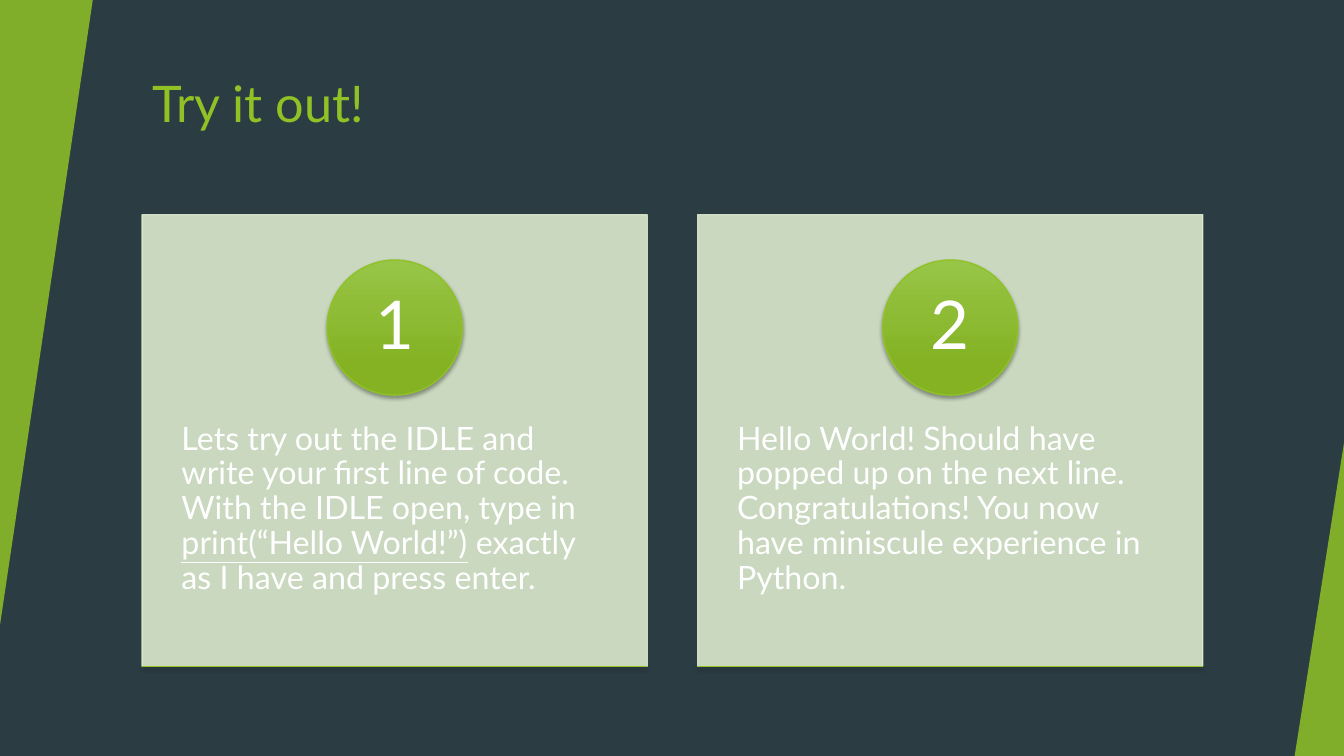
from dataclasses import dataclass

from lxml import etree
from pptx import Presentation
from pptx.dml.color import RGBColor
from pptx.enum.shapes import MSO_CONNECTOR, MSO_SHAPE
from pptx.enum.text import MSO_ANCHOR, MSO_AUTO_SIZE, PP_ALIGN
from pptx.oxml.ns import qn
from pptx.util import Inches, Pt

RECTANGLE, OVAL, TRIANGLE = MSO_SHAPE.RECTANGLE, MSO_SHAPE.OVAL, MSO_SHAPE.ISOSCELES_TRIANGLE
STRAIGHT = MSO_CONNECTOR.STRAIGHT
TOP, MIDDLE = MSO_ANCHOR.TOP, MSO_ANCHOR.MIDDLE
LEFT, CENTER = PP_ALIGN.LEFT, PP_ALIGN.CENTER
FIXED = MSO_AUTO_SIZE.NONE

# Content: each step is a list of (text, underlined) spans
TITLE = "Try it out!"
STEPS = [
    [
        ("Lets try out the IDLE and write your first line of code. With the IDLE open, type in ", False),
        ("print(“Hello World!”)", True),
        (" exactly as I have and press enter.", False),
    ],
    [
        ("Hello World! Should have popped up on the next line. Congratulations! "
         "You now have miniscule experience in Python.", False),
    ],
]


@dataclass(frozen=True)
class Theme:
    font: str = "Lato"
    background: str = "2C3C43"
    accent: str = "90C226"
    card: str = "DBE9CD"
    badge_top: str = "97C547"
    badge_bottom: str = "84B223"
    text: str = "FFFFFF"
    title_size: int = 36
    body_size: int = 23
    badge_size: int = 48


THEME = Theme()

# Layout in inches
PAGE_W, PAGE_H = 13.33, 7.5
CARD_LEFT, CARD_TOP, CARD_W, CARD_H = 1.41, 2.13, 5.01, 4.48
CARD_GAP = 0.5
BADGE_TOP, BADGE = 2.58, 1.34
BODY_TOP, BODY_H = 3.83, 2.69


def rgb(color):
    return RGBColor.from_string(color)


def set_alpha(fill_parent, percent):
    color = fill_parent.find(qn("a:solidFill")).find(qn("a:srgbClr"))
    etree.SubElement(color, qn("a:alpha"), val=str(percent * 1000))


def style_span(span, size, color):
    span.font.name = THEME.font
    span.font.size = Pt(size)
    span.font.color.rgb = rgb(color)


def add_shape(page, kind, left, top, width, height):
    shape = page.shapes.add_shape(kind, Inches(left), Inches(top), Inches(width), Inches(height))
    shape.shadow.inherit = False
    return shape


def add_soft_shadow(shape):
    properties = shape._element.spPr
    effects = properties.find(qn("a:effectLst"))
    if effects is None:
        effects = etree.SubElement(properties, qn("a:effectLst"))
    shadow = etree.SubElement(effects, qn("a:outerShdw"), blurRad=str(Pt(3)), dist=str(Pt(2)),
                              dir="5400000", rotWithShape="0")
    color = etree.SubElement(shadow, qn("a:srgbClr"), val="000000")
    etree.SubElement(color, qn("a:alpha"), val="35000")


def add_edge_triangle(page, left, top, width, height, rotation):
    triangle = add_shape(page, TRIANGLE, left, top, width, height)
    triangle.adjustments[0] = 1
    triangle.rotation = rotation
    triangle.fill.solid()
    triangle.fill.fore_color.rgb = rgb(THEME.accent)
    set_alpha(triangle._element.spPr, 85)
    triangle.line.fill.background()


def add_title(page):
    title = page.shapes.title
    title.left, title.top = Inches(CARD_LEFT), Inches(0.67)
    title.width, title.height = Inches(11.15), Inches(1.2)
    frame = title.text_frame
    frame.text = TITLE
    frame.vertical_anchor = TOP
    frame.auto_size = FIXED
    para = frame.paragraphs[0]
    para.alignment = LEFT
    style_span(para.runs[0], THEME.title_size, THEME.accent)


def add_card(page, left):
    card = add_shape(page, RECTANGLE, left, CARD_TOP, CARD_W, CARD_H)
    card.fill.solid()
    card.fill.fore_color.rgb = rgb(THEME.card)
    card.line.color.rgb = rgb(THEME.card)
    card.line.width = Pt(1)
    set_alpha(card._element.spPr, 90)
    set_alpha(card.line._get_or_add_ln(), 90)


def add_body(page, left, spans):
    box = page.shapes.add_textbox(Inches(left), Inches(BODY_TOP), Inches(CARD_W), Inches(BODY_H))
    frame = box.text_frame
    frame.word_wrap = True
    frame.margin_left = frame.margin_right = Inches(0.39)
    frame.margin_top = frame.margin_bottom = Inches(0.36)
    para = frame.paragraphs[0]
    para.line_spacing = 0.9
    for text, underlined in spans:
        span = para.add_run()
        span.text = text
        style_span(span, THEME.body_size, THEME.text)
        if underlined:
            span.font.underline = True


def add_badge(page, left, number):
    badge = add_shape(page, OVAL, left + (CARD_W - BADGE) / 2, BADGE_TOP, BADGE, BADGE)
    badge.fill.gradient()
    badge.fill.gradient_angle = 270
    stops = [(0, THEME.badge_top), (0.78, THEME.badge_bottom)]
    for stop, (position, color) in zip(badge.fill.gradient_stops, stops):
        stop.position = position
        stop.color.rgb = rgb(color)
    badge.line.color.rgb = rgb(THEME.accent)
    badge.line.width = Pt(1)
    add_soft_shadow(badge)

    frame = badge.text_frame
    frame.text = str(number)
    frame.vertical_anchor = MIDDLE
    frame.margin_left = frame.margin_right = Inches(0.1)
    frame.margin_top = frame.margin_bottom = Inches(0.01)
    para = frame.paragraphs[0]
    para.alignment = CENTER
    para.line_spacing = 0.9
    style_span(para.runs[0], THEME.badge_size, THEME.text)


def add_base_line(page, left):
    bottom = Inches(CARD_TOP + CARD_H)
    line = page.shapes.add_connector(STRAIGHT, Inches(left), bottom, Inches(left + CARD_W), bottom)
    line.line.color.rgb = rgb(THEME.accent)
    line.line.width = Pt(1)
    add_soft_shadow(line)


def main():
    deck = Presentation()
    deck.slide_width, deck.slide_height = Inches(PAGE_W), Inches(PAGE_H)
    page = deck.slides.add_slide(deck.slide_layouts.get_by_name("Title Only"))
    page.background.fill.solid()
    page.background.fill.fore_color.rgb = rgb(THEME.background)

    # Slanted edges and title
    add_edge_triangle(page, 0, 0, 0.92, 6.2, 180)
    add_edge_triangle(page, PAGE_W - 0.49, PAGE_H - 3.11, 0.49, 3.11, 0)
    add_title(page)

    # Numbered step cards
    for index, spans in enumerate(STEPS):
        left = CARD_LEFT + index * (CARD_W + CARD_GAP)
        add_card(page, left)
        add_body(page, left, spans)
        add_badge(page, left, index + 1)
        add_base_line(page, left)

    deck.save("out.pptx")


if __name__ == "__main__":
    main()
